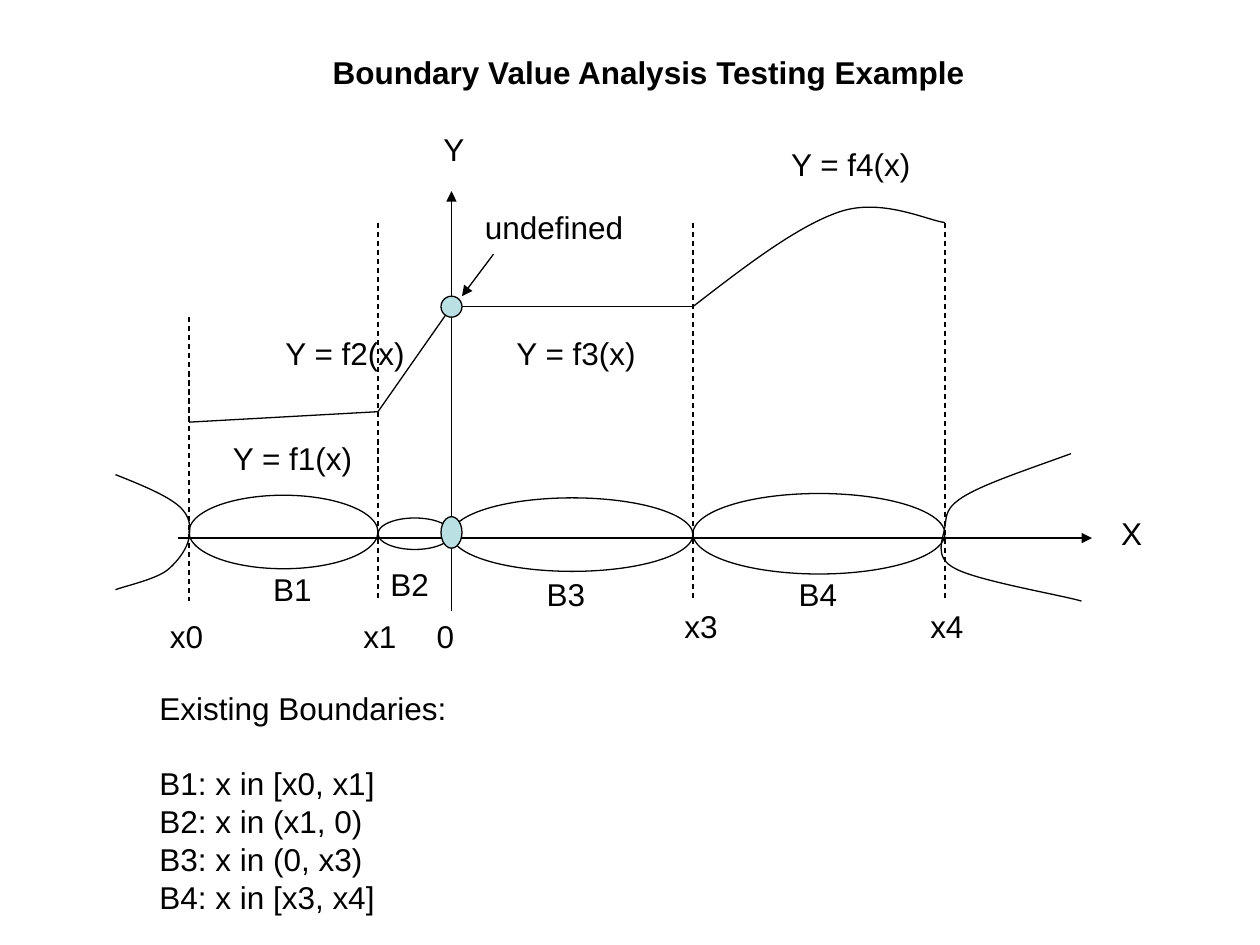
import pptx
import pptx.dml.color
import pptx.enum.dml
import pptx.enum.shapes
import pptx.enum.text
import pptx.oxml.ns
import pptx.util
import lxml.etree

Pt = pptx.util.Pt
INK = "000000"
TEAL = "BBE0E3"
X0, X1, ZERO, X3, X4 = 108, 216, 258, 396, 540
AXIS = 307.5
FOOT = 343.5
LEVEL = 175.25


def paint(part, color):
    part.solid()
    part.fore_color.rgb = pptx.dml.color.RGBColor.from_string(color)


def ink(shape):
    paint(shape.line.fill, INK)
    shape.line.width = Pt(0.75)


def add_tag(parent, name, **attrs):
    return lxml.etree.SubElement(parent, pptx.oxml.ns.qn(name), attrs)


def add_line(slide, start, end, arrow=False, dash=False):
    line = slide.shapes.add_connector(
        pptx.enum.shapes.MSO_CONNECTOR.STRAIGHT,
        *[Pt(v) for v in start + end])
    ink(line)
    if dash:
        line.line.dash_style = pptx.enum.dml.MSO_LINE.DASH
    if arrow:
        add_tag(line.line._get_or_add_ln(), "a:tailEnd", type="triangle")
    add_tag(line._element.spPr, "a:effectLst")


def add_oval(slide, left, top, width, height, color=None):
    oval = slide.shapes.add_shape(
        pptx.enum.shapes.MSO_SHAPE.OVAL,
        Pt(left), Pt(top), Pt(width), Pt(height))
    oval.shadow.inherit = False
    ink(oval)
    if color:
        paint(oval.fill, color)
    else:
        oval.fill.background()


def add_curve(slide, knots):
    spots = [(Pt(x), Pt(y)) for x, y in knots]
    draft = slide.shapes.build_freeform(*spots[0])
    draft.add_line_segments(spots[1:], close=False)
    curve = draft.convert_to_shape()
    curve.shadow.inherit = False
    curve.fill.background()
    ink(curve)
    legs = list(curve._element.iter(pptx.oxml.ns.qn("a:lnTo")))
    outline = legs[0].getparent()
    for i in range(0, len(legs), 3):
        bend = add_tag(outline, "a:cubicBezTo")
        for leg in legs[i:i + 3]:
            bend.append(leg[0])
            outline.remove(leg)


def add_text(slide, lines, left, top, width, height=28.8,
             bold=False, wrap=False, gap=0):
    box = slide.shapes.add_textbox(Pt(left), Pt(top), Pt(width), Pt(height))
    frame = box.text_frame
    frame.word_wrap = wrap
    frame.auto_size = pptx.enum.text.MSO_AUTO_SIZE.SHAPE_TO_FIT_TEXT
    for i, line in enumerate(lines):
        para = frame.add_paragraph() if i else frame.paragraphs[0]
        if i == 1:
            para.space_before = Pt(gap)
        run = para.add_run()
        run.text = line
        run.font.name = "Arial"
        run.font.size = Pt(18)
        run.font.bold = bold
        run.font.color.rgb = pptx.dml.color.RGBColor.from_string(INK)


def draw_graph(slide):
    add_line(slide, (102, AXIS), (624, AXIS), arrow=True)
    add_line(slide, (ZERO, 349), (ZERO, 109.25), arrow=True)
    for x, top in ((X0, 181.25), (X1, 127.25), (X3, 127.25), (X4, 127.25)):
        add_line(slide, (x, top), (x, FOOT), dash=True)
    add_line(slide, (X0, 241.25), (X1, 235.25))
    add_line(slide, (X1, 235.25), (ZERO, LEVEL))
    add_line(slide, (ZERO + 6, LEVEL), (X3, LEVEL))
    add_line(slide, (282, 145.25), (264, 169.25), arrow=True)
    add_curve(slide, [(X3, LEVEL), (426, 152), (456, 129), (480, 121),
                      (504, 113), (530, 126), (X4, 127.25)])


def draw_bounds(slide):
    spans = ((X0, X1, 283, 42), (X1, ZERO, 296, 18),
             (ZERO, X3, 284.5, 42), (X3, X4, 282, 46))
    for left, right, top, height in spans:
        add_oval(slide, left, top, right - left, height)
    add_curve(slide, [(66, 271.25), (80.5, 277), (95, 283), (102, 289),
                      (109, 295), (109, 301), (X0, AXIS),
                      (107, 313), (102.5, 320), (96, 325.5),
                      (89.5, 331), (71, 335), (66, 337)])
    add_curve(slide, [(612, 259.25), (588, 268), (564, 276), (552, 283),
                      (540, 290), (541, 294.5), (X4, 301),
                      (539, 308), (533, 318.5), (546, 325),
                      (559, 332), (606, 340), (618, FOOT)])
    add_oval(slide, ZERO - 6, LEVEL - 6, 12, 12, TEAL)
    add_oval(slide, ZERO - 6, 295.25, 12, 18, TEAL)


def main():
    deck = pptx.Presentation()
    deck.slide_width, deck.slide_height = Pt(720), Pt(540)
    slide = deck.slides.add_slide(deck.slide_layouts[6])
    draw_graph(slide)
    draw_bounds(slide)
    labels = (
        ("Y = f1(x)", 126, 247.25, 83), ("Y = f2(x)", 156, 187.25, 83),
        ("Y = f3(x)", 288, 187.25, 83), ("Y = f4(x)", 445, 79.25, 83),
        ("x0", 90, 349, 34), ("x1", 200.5, 349, 34), ("0", 242.5, 349, 25),
        ("x3", 384, 343.5, 34), ("x4", 524.5, 343.5, 34),
        ("Y", 246.25, 70.5, 26.5), ("X", 633.5, 290, 26.5),
        ("undefined", 270, 115.25, 94),
        ("B1", 149, 322, 37), ("B2", 216, 319.25, 37),
        ("B3", 305.25, 325.25, 37), ("B4", 449.25, 325.25, 37))
    for text, left, top, width in labels:
        add_text(slide, [text], left, top, width)
    add_text(slide, ["Existing Boundaries:", "B1: x in [x0, x1]",
                     "B2: x in (x1, 0)", "B3: x in (0, x3)",
                     "B4: x in [x3, x4]"],
             84, 390, 504, 136.8, wrap=True, gap=21.6)
    add_text(slide, ["Boundary Value Analysis Testing Example"],
             183, 26.5, 378, bold=True)
    deck.save("out.pptx")


if __name__ == "__main__":
    main()
